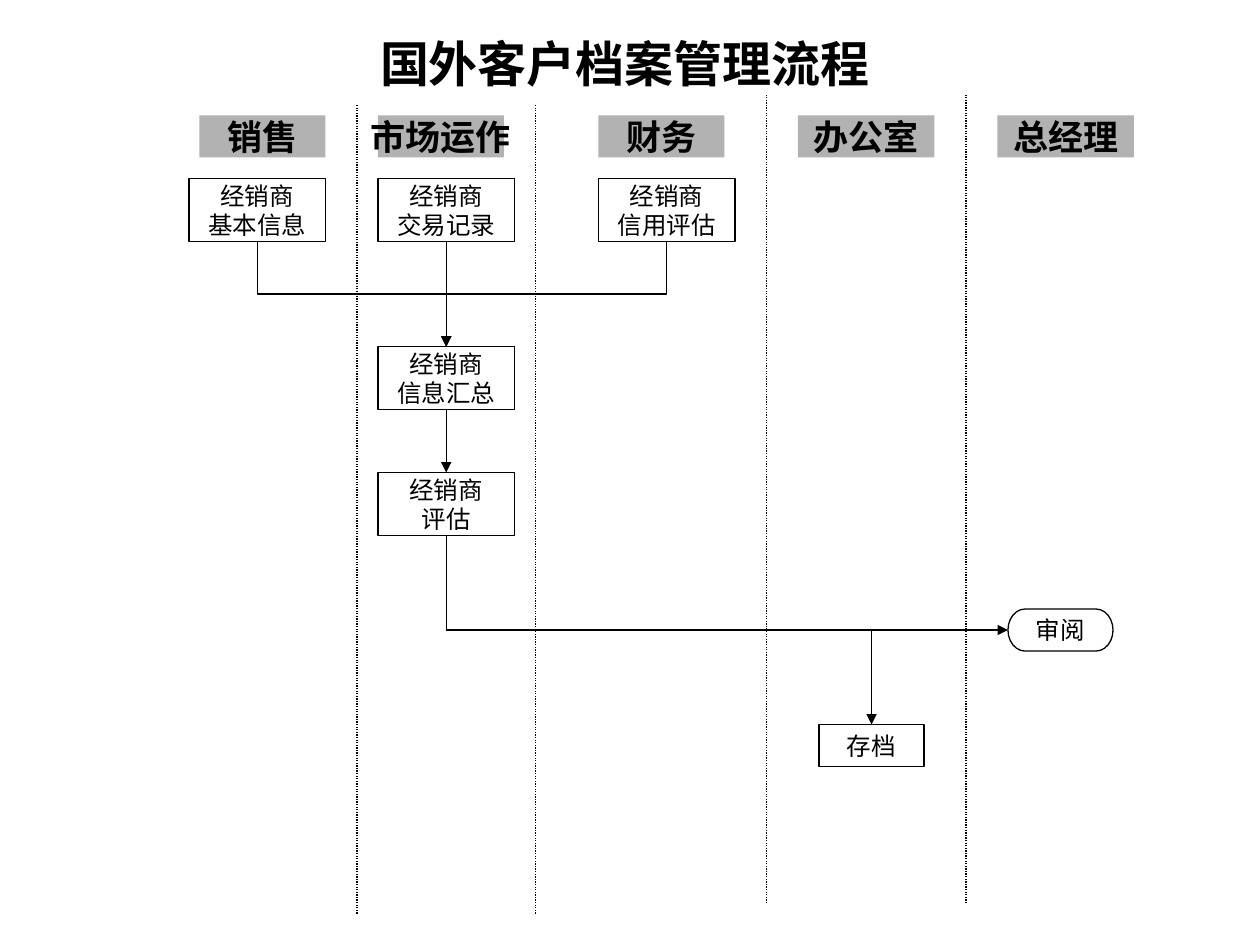
from dataclasses import dataclass

from lxml import etree
from pptx import Presentation, util as u
from pptx.dml.color import RGBColor
from pptx.enum import dml, shapes, text
from pptx.oxml.ns import qn


@dataclass(frozen=True)
class Theme:
    ink: str = "000000"
    paper: str = "FFFFFF"
    band: str = "B2B2B2"
    font: str = "Times New Roman"
    title: int = 28
    header: int = 20
    body: int = 14
    line: float = 0.75


def cell(n):
    """Length of n grid cells; the 10 x 7.5 inch slide has 120 x 90."""
    return u.Inches(n / 12)


def put_text(frame, words, *, size, color, font, bold=False, wrap=False):
    frame.word_wrap = wrap
    frame.vertical_anchor = text.MSO_ANCHOR.MIDDLE
    frame.text = words
    for paragraph in frame.paragraphs:
        paragraph.alignment = text.PP_ALIGN.CENTER
        paragraph.font.size = u.Pt(size)
        paragraph.font.name = font
        paragraph.font.bold = bold
        paragraph.font.color.rgb = RGBColor.from_string(color)


class FlowSlide:
    def __init__(self, slide, theme):
        self.slide, self.theme = slide, theme

    def label(self, shape, words, size, **fmt):
        put_text(shape.text_frame, words, size=size, color=self.theme.ink,
                 font=self.theme.font, **fmt)

    def title(self, words, *place):
        box = self.slide.shapes.add_textbox(*map(cell, place))
        self.label(box, words, self.theme.title, bold=True, wrap=True)

    def block(self, kind, place, fill):
        block = self.slide.shapes.add_shape(kind, *map(cell, place))
        block.shadow.inherit = False
        block.fill.solid()
        block.fill.fore_color.rgb = RGBColor.from_string(fill)
        return block

    def header(self, words, left, width):
        band = self.block(shapes.MSO_SHAPE.RECTANGLE, (left, 11, width, 4), self.theme.band)
        band.line.fill.background()
        self.label(band, words, self.theme.header, bold=True)

    def step(self, words, left, top, width=13, height=6, kind=shapes.MSO_SHAPE.RECTANGLE):
        step = self.block(kind, (left, top, width, height), self.theme.paper)
        self.outline(step.line)
        self.label(step, words, self.theme.body)
        return step

    def outline(self, line):
        line.color.rgb = RGBColor.from_string(self.theme.ink)
        line.width = u.Pt(self.theme.line)

    def connector(self, kind, *ends):
        link = self.slide.shapes.add_connector(kind, *ends)
        self.outline(link.line)
        etree.SubElement(link._element.spPr, qn("a:effectLst"))
        return link

    def divider(self, x, top, height=77):
        lane = self.connector(shapes.MSO_CONNECTOR.STRAIGHT,
                              *map(cell, (x, top, x, top + height)))
        lane.line.dash_style = dml.MSO_LINE.ROUND_DOT

    def arrow(self, source, target, into_side=False):
        """Leave source at its bottom; enter target at its top or left side."""
        x1, y1 = source.left + source.width // 2, source.top + source.height
        x2, y2 = target.left + target.width // 2, target.top
        if into_side:
            x2, y2 = target.left, target.top + target.height // 2
        run, drop = x2 - x1, y2 - y1
        straight = abs(run) < u.Pt(1)
        kinds = shapes.MSO_CONNECTOR
        link = self.connector(kinds.STRAIGHT if straight else kinds.ELBOW, x1, y1, x2, y2)
        link.begin_connect(source, 2)
        link.end_connect(target, 1 if into_side else 0)
        line = link._element.spPr.find(qn("a:ln"))
        etree.SubElement(line, qn("a:tailEnd"), type="triangle")
        if straight:
            return
        # Turn the elbow so that it starts downwards
        link.left, link.top = (x1 + x2 - drop) // 2, (y1 + y2 - abs(run)) // 2
        link.width, link.height = drop, abs(run)
        frame = link._element.spPr.find(qn("a:xfrm"))
        frame.set("rot", str((270 if run > 0 else 90) * 60000))
        frame.set("flipH", "1" if run > 0 else "0")
        frame.set("flipV", "0")
        if into_side:
            link._element.spPr.find(qn("a:prstGeom")).set("prst", "bentConnector2")


def main():
    deck = Presentation()
    deck.slide_width, deck.slide_height = cell(120), cell(90)
    flow = FlowSlide(deck.slides.add_slide(deck.slide_layouts[6]), Theme())

    # Title and departments
    flow.title("国外客户档案管理流程", 24, 2, 71, 8)
    for department, left, width in (("销售", 19, 12), ("市场运作", 36, 12), ("财务", 57, 12),
                                    ("办公室", 76, 13), ("总经理", 95, 13)):
        flow.header(department, left, width)

    # Lane dividers
    for x, top in ((34, 10), (51, 10), (73, 9), (92, 9)):
        flow.divider(x, top)

    # Steps
    basics = flow.step("经销商\n基本信息", 18, 17)
    trades = flow.step("经销商\n交易记录", 36, 17)
    credit = flow.step("经销商\n信用评估", 57, 17)
    summary = flow.step("经销商\n信息汇总", 36, 33)
    rating = flow.step("经销商\n评估", 36, 45)
    review = flow.step("审阅", 96, 58, 10, 4, shapes.MSO_SHAPE.FLOWCHART_TERMINATOR)
    archive = flow.step("存档", 78, 69, 10, 4)

    # Flow
    for record in (basics, trades, credit):
        flow.arrow(record, summary)
    flow.arrow(summary, rating)
    flow.arrow(rating, review, into_side=True)
    flow.arrow(rating, archive)

    deck.save("out.pptx")


if __name__ == "__main__":
    main()
